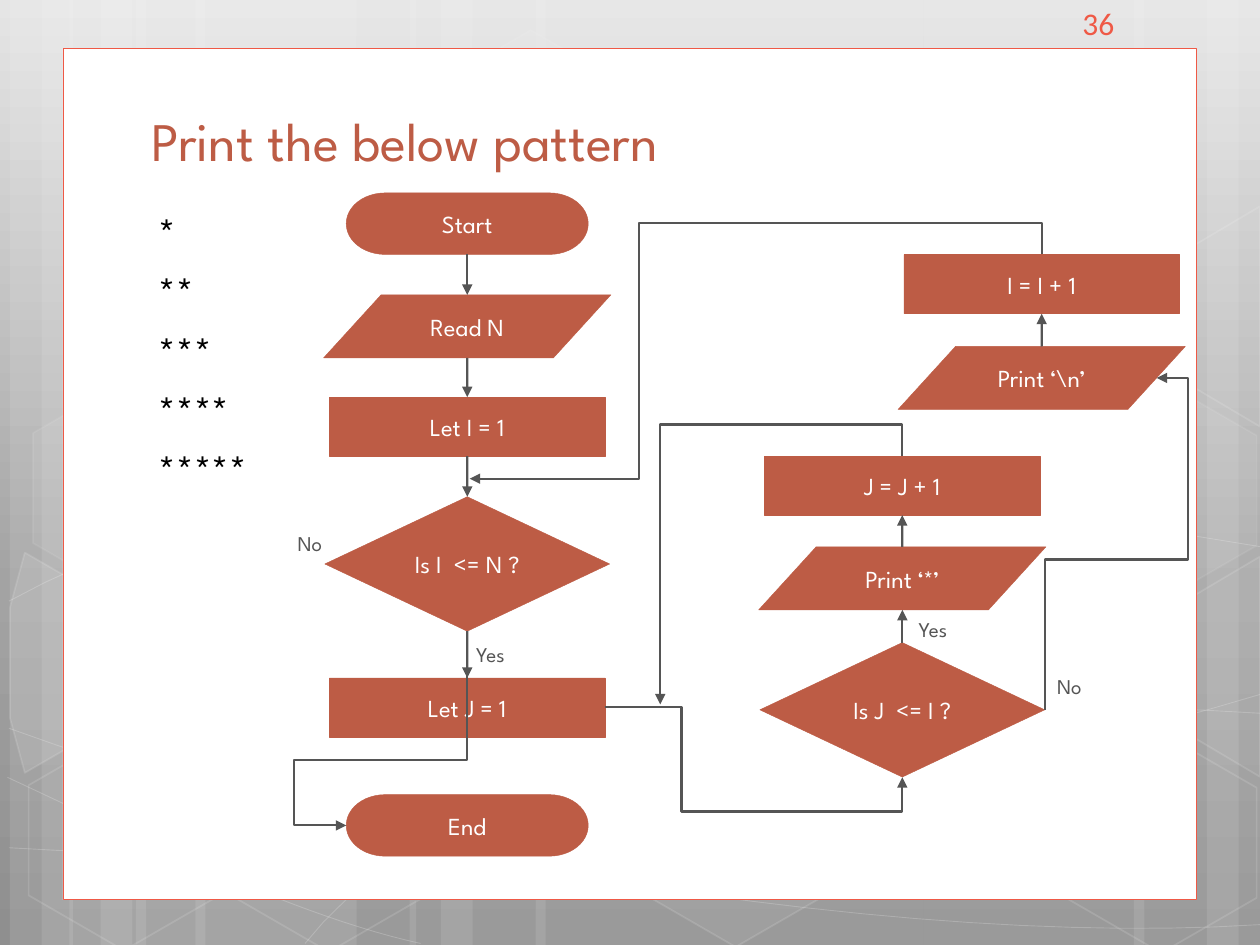
from copy import deepcopy
from dataclasses import dataclass
from math import cos, pi, sin

from lxml.etree import SubElement
from pptx import Presentation
from pptx.dml.color import RGBColor
from pptx.enum.shapes import MSO_CONNECTOR as Link, MSO_SHAPE as Kind
from pptx.enum.text import MSO_ANCHOR as Anchor, MSO_AUTO_SIZE as Fit, PP_ALIGN as Align
from pptx.oxml.ns import qn
from pptx.util import Cm, Pt


@dataclass(frozen=True)
class Theme:
    """Colours, fonts and type sizes."""
    accent: str = "BD5C45"
    edge: str = "EF5946"
    line: str = "555555"
    white: str = "FFFFFF"
    black: str = "000000"
    sky: tuple = ((0, "E5E5E5"), (0.62, "A3A3A3"), (1, "8F8F8F"))
    font: str = "League Spartan"
    number_font: str = "Calibri"
    title: float = 31
    pattern: float = 24
    number: float = 18
    node: float = 14
    label: float = 12


@dataclass(frozen=True)
class Box:
    """A region in centimetres."""
    left: float
    top: float
    width: float
    height: float

    def emu(self):
        """Return the four lengths for python-pptx."""
        return [Cm(v) for v in (self.left, self.top, self.width, self.height)]

    def inner(self, x, y, width, height):
        """Return a box placed relative to this one."""
        return Box(self.left + x, self.top + y, width, height)


THEME = Theme()
SIZES = {Kind.FLOWCHART_TERMINATOR: (4.88, 1.24), Kind.FLOWCHART_DATA: (5.79, 1.27),
         Kind.RECTANGLE: (5.56, 1.19), Kind.FLOWCHART_DECISION: (5.74, 2.71)}
OUTER, INNER, NEXT = 3.62, 12.39, 15.2
NODES = {
    "Start": (Kind.FLOWCHART_TERMINATOR, OUTER, 0.71),
    "Read N": (Kind.FLOWCHART_DATA, OUTER, 2.78),
    "Let I = 1": (Kind.RECTANGLE, OUTER, 4.8),
    "Is I  <= N ?": (Kind.FLOWCHART_DECISION, OUTER, 7.57),
    "Let J = 1": (Kind.RECTANGLE, OUTER, 10.46),
    "End": (Kind.FLOWCHART_TERMINATOR, OUTER, 12.84),
    "Is J  <= I ?": (Kind.FLOWCHART_DECISION, INNER, 10.51),
    "Print ‘*’": (Kind.FLOWCHART_DATA, INNER, 7.86),
    "J = J + 1": (Kind.RECTANGLE, INNER, 5.99),
    "Print ‘\\n’": (Kind.FLOWCHART_DATA, NEXT, 3.82),
    "I = I + 1": (Kind.RECTANGLE, NEXT, 1.93),
}
CHAINS = [("Start", "Read N", "Let I = 1", "Is I  <= N ?", "Let J = 1"),
          ("Is J  <= I ?", "Print ‘*’", "J = J + 1"), ("Print ‘\\n’", "I = I + 1")]
ROUTES = [
    [(OUTER, 8.93), (OUTER, 11.52), (0.12, 11.52), (0.12, 12.84), (1.18, 12.84)],
    [(6.4, 10.46), (7.94, 10.46), (7.94, 12.56), (INNER, 12.56), (INNER, 11.87)],
    [(NEXT, 1.33), (NEXT, 0.7), (7.08, 0.7), (7.08, 5.85), (3.67, 5.85)],
    [(INNER, 5.39), (INNER, 4.76), (7.51, 4.76), (7.51, 10.4)],
    [(15.26, 10.51), (15.26, 7.48), (18.15, 7.48), (18.15, 3.82), (17.52, 3.82)],
]
LABELS = [("Yes", 3.67, 9), ("No", 0.07, 6.77), ("Yes", 12.59, 8.49), ("No", 15.38, 9.64)]
STRIPS = [(2.74, 4.45), (0.2, 1.27), (0.84, 2.11), (3.94, 4.45), (1.4, 1.27), (2.03, 2.11),
          (18.62, 4.45), (24.33, 1.07), (22.86, 2.11), (10.8, 7.82), (8.26, 1.27), (8.89, 2.11)]
HEXAGONS = [(10.7, 2.83, 4, 8), (14.83, 16.87, 6, 12), (0.5, 13.36, 10, 12),
            (2.5, 16.94, 0, 12), (2.59, 9.84, 7, 8), (6.63, 16.97, 0, 12),
            (21.35, 13.44, 10, 12), (23.41, 16.99, 0, 12), (23.41, 9.89, 7, 8),
            (25.45, 13.44, 4, 12), (25.45, 6.38, 0, 12)]
CURVES = [
    [(0.18, 17.09), (8, 17.6), (17.8, 16.3), (25.4, 14)],
    [(0.18, 12.12), (6, 8.9), (14.5, 9.2), (25.4, 11.02)],
    [(0.15, 15.67), (3.2, 17.1), (6.1, 18.5), (8.48, 19.02)],
    [(0.18, 14.68), (7.6, 17.4), (18.4, 19.1), (25.4, 18.64)],
    [(6.15, 19.02), (9, 15.4), (16.5, 13.8), (25.4, 14.38)],
]


def rgb(value):
    """Turn a hex string into a colour."""
    return RGBColor.from_string(value)


def paint(shape, fill=None, line=None, width=0.25, alphas=()):
    """Set fill, line and opacity, and drop the shadow."""
    shape.shadow.inherit = False
    for part, colour in ((shape.fill, fill), (shape.line.fill, line)):
        if colour:
            part.solid()
            part.fore_color.rgb = rgb(colour)
        else:
            part.background()
    if line:
        shape.line.width = Pt(width)
    for colour, alpha in zip(list(shape.element.iter(qn("a:srgbClr"))), alphas):
        SubElement(colour, qn("a:alpha"), val=str(alpha * 1000))


def outline(page, points, close=False):
    """Build a freeform through points in centimetres."""
    spots = [(Cm(x), Cm(y)) for x, y in points]
    builder = page.shapes.build_freeform(*spots[0])
    builder.add_line_segments(spots[1:], close=close)
    return builder.convert_to_shape()


def write(shape, lines, size, colour, font=THEME.font, align=Align.LEFT, anchor=Anchor.TOP):
    """Fill a shape with formatted paragraphs."""
    frame = shape.text_frame
    frame.text = "\n".join(lines)
    frame.word_wrap, frame.auto_size, frame.vertical_anchor = True, Fit.NONE, anchor
    frame.margin_left = frame.margin_right = frame.margin_top = frame.margin_bottom = Cm(0.13)
    for para in frame.paragraphs:
        para.alignment = align
        para.font.name, para.font.size = font, Pt(size)
        para.font.color.rgb = rgb(colour)
    return frame


def add_arrowhead(shape):
    """End a line with a triangle."""
    SubElement(shape.line._get_or_add_ln(), qn("a:tailEnd"), type="triangle")


def draw_backdrop(page, box, panel):
    """Draw the gradient, strips, curves, hexagons and white panel."""
    fill = page.background.fill
    fill.gradient()
    fill.gradient_angle = 270
    first, last = fill.gradient_stops
    holder = page.background.fill._fill._gradFill.gsLst
    holder.insert(1, deepcopy(holder[0]))
    for stop, (position, colour) in zip(fill.gradient_stops, THEME.sky):
        stop.position, stop.color.rgb = position, rgb(colour)
    for left, width in STRIPS:
        strip = page.shapes.add_shape(Kind.RECTANGLE, *box.inner(left, 0, width, box.height).emu())
        paint(strip, THEME.white, alphas=(10,))
    for curve in CURVES:
        steps = [i / 24 for i in range(25)]
        points = [tuple(sum(k * (1 - t) ** (3 - n) * t ** n * curve[n][axis]
                            for n, k in enumerate((1, 3, 3, 1))) for axis in (0, 1))
                  for t in steps]
        paint(outline(page, points), line=THEME.white, width=0.5, alphas=(20,))
    for x, y, opacity, edge in HEXAGONS:
        points = [(min(max(x + 2.22 * sin(i * pi / 3), 0.2), box.width),
                   y - 2.22 * cos(i * pi / 3)) for i in range(6)]
        paint(outline(page, points, True), THEME.white if opacity else None, THEME.white, 1,
              (opacity, edge) if opacity else (edge,))
    paint(page.shapes.add_shape(Kind.RECTANGLE, *panel.emu()), THEME.white, THEME.edge, 0.5)


def place_title(page, box):
    """Move the title placeholder to the front and format it."""
    title = page.shapes.title
    title.element.getparent().append(title.element)
    title.left, title.top, title.width, title.height = box.emu()
    write(title, ["Print the below pattern"], THEME.title, THEME.accent, anchor=Anchor.BOTTOM)


def place_pattern(page, box):
    """Write the triangle of stars."""
    frame = write(page.shapes.add_textbox(*box.emu()), ["*" * n for n in range(1, 6)],
                  THEME.pattern, THEME.black)
    frame.margin_left = Cm(0.3)
    for para in frame.paragraphs:
        para.space_before, para.line_spacing = Pt(5), Pt(28.8)


def place_number(page, box):
    """Write the slide number."""
    frame = write(page.shapes.add_textbox(*box.emu()), ["36"], THEME.number, THEME.edge,
                  THEME.number_font)
    frame.word_wrap = False


def link(page, start, end):
    """Join two stacked nodes with a vertical arrow."""
    down = start.top < end.top
    upper, lower = (start, end) if down else (end, start)
    ys = [upper.top + upper.height, lower.top]
    y1, y2 = ys if down else reversed(ys)
    x = start.left + start.width // 2
    arrow = page.shapes.add_connector(Link.STRAIGHT, x, y1, x, y2)
    if start.auto_shape_type != Kind.FLOWCHART_DATA:
        arrow.begin_connect(start, 2 if down else 0)
    if end.auto_shape_type != Kind.FLOWCHART_DATA:
        arrow.end_connect(end, 0 if down else 2)
    arrow.line.color.rgb, arrow.line.width = rgb(THEME.line), Pt(1.25)
    add_arrowhead(arrow)
    SubElement(arrow.element.spPr, qn("a:effectLst"))


def draw_flowchart(page, box):
    """Draw the nodes, arrows and branch labels."""
    nodes = {}
    for text, (kind, x, y) in NODES.items():
        width, height = SIZES[kind]
        spot = box.inner(x - width / 2, y - height / 2, width, height)
        nodes[text] = page.shapes.add_shape(kind, *spot.emu())
        paint(nodes[text], THEME.accent, THEME.accent)
        write(nodes[text], [text], THEME.node, THEME.white, align=Align.CENTER,
              anchor=Anchor.MIDDLE)
    for chain in CHAINS:
        for start, end in zip(chain, chain[1:]):
            link(page, nodes[start], nodes[end])
    for route in ROUTES:
        path = outline(page, [(box.left + x, box.top + y) for x, y in route])
        paint(path, line=THEME.line, width=1.25)
        add_arrowhead(path)
    for text, x, y in LABELS:
        label = page.shapes.add_textbox(*box.inner(x, y, 1.32, 0.79).emu())
        write(label, [text], THEME.label, THEME.line)


def main():
    """Build and save the deck."""
    deck = Presentation()
    deck.slide_width, deck.slide_height = Cm(25.4), Cm(19.05)
    page = deck.slides.add_slide(deck.slide_layouts[5])
    draw_backdrop(page, Box(0, 0, 25.4, 19.05), Box(1.27, 0.97, 22.86, 17.17))
    place_title(page, Box(2.92, 2.01, 19.96, 1.6))
    place_pattern(page, Box(2.9, 4.04, 3.02, 12.09))
    place_number(page, Box(21.69, -0.05, 0.99, 1.04))
    draw_flowchart(page, Box(5.8, 3.8, 18.2, 13.5))
    deck.save("out.pptx")


if __name__ == "__main__":
    main()
